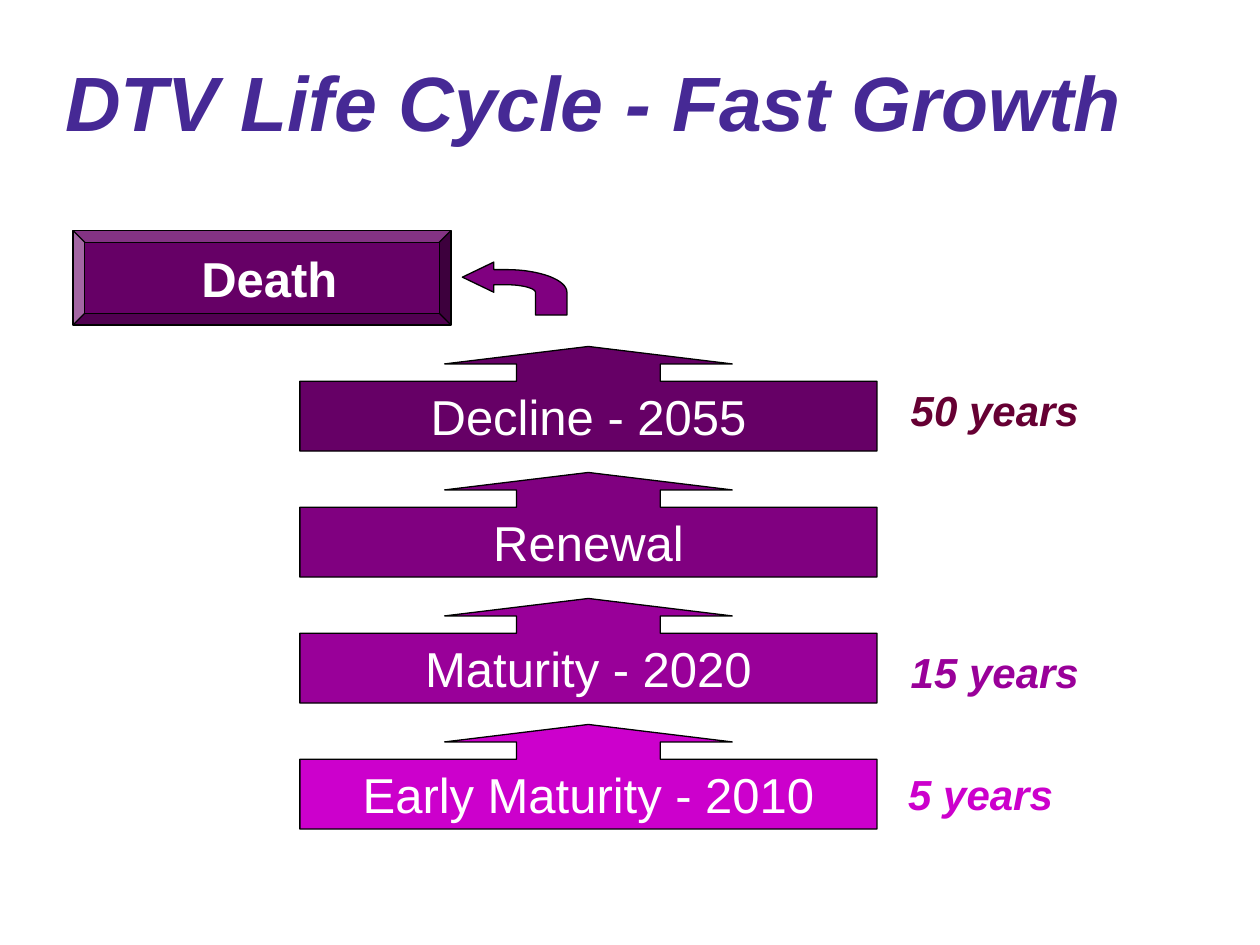
"""Build the DTV life cycle slide: a rising stack of stage callouts that ends in death."""
from typing import NamedTuple

from pptx import Presentation
from pptx.dml.color import RGBColor
from pptx.enum.shapes import MSO_SHAPE as Shape
from pptx.enum.text import MSO_ANCHOR as Anchor, PP_ALIGN as Align
from pptx.util import Inches, Pt

BLACK = RGBColor(0x00, 0x00, 0x00)
WHITE = RGBColor(0xFF, 0xFF, 0xFF)
INDIGO = RGBColor(0x46, 0x29, 0x95)
PINK = RGBColor(0xCC, 0x00, 0xCC)
VIOLET = RGBColor(0x99, 0x00, 0x99)
PURPLE = RGBColor(0x80, 0x00, 0x80)
PLUM = RGBColor(0x66, 0x00, 0x66)
WINE = RGBColor(0x66, 0x00, 0x33)

Point = tuple[float, float]


class Stage(NamedTuple):
    text: str
    fill: RGBColor


class Label(NamedTuple):
    text: str
    left: float
    top: float
    color: RGBColor


STAGES = [
    Stage("Early Maturity - 2010", PINK),
    Stage("Maturity - 2020", VIOLET),
    Stage("Renewal", PURPLE),
    Stage("Decline - 2055", PLUM),
]
LABELS = [
    Label("5 years", 7.11, 6.05, PINK),
    Label("15 years", 7.13, 5.08, VIOLET),
    Label("50 years", 7.13, 3, WINE),
]
BASE, STEP = 5.75, 1


def write(shape, text: str, *, size: float, color: RGBColor, bold: bool = False,
          italic: bool = False, align=Align.LEFT, anchor=Anchor.TOP,
          wrap: bool = True) -> None:
    frame = shape.text_frame
    frame.word_wrap = wrap
    frame.vertical_anchor = anchor
    para = frame.paragraphs[0]
    para.alignment = align
    run = para.add_run()
    run.text = text
    font = run.font
    font.name, font.size = "Arial", Pt(size)
    font.bold, font.italic = bold, italic
    font.color.rgb = color


def add_text(slide, box: tuple, text: str, **style) -> None:
    write(slide.shapes.add_textbox(*map(Inches, box)), text, **style)


def paint(shape, fill: RGBColor) -> None:
    shape.shadow.inherit = False
    shape.fill.solid()
    shape.fill.fore_color.rgb = fill
    shape.line.color.rgb = BLACK
    shape.line.width = Pt(0.75)


def add_stage(slide, stage: Stage, top: float) -> None:
    box = map(Inches, (2.38, top, 4.58, 0.83))
    shape = slide.shapes.add_shape(Shape.UP_ARROW_CALLOUT, *box)
    for i, value in enumerate((1.375, 1.375, 0.167, 0.667)):
        shape.adjustments[i] = value
    paint(shape, stage.fill)
    write(shape, stage.text, size=28, color=WHITE, align=Align.CENTER,
          anchor=Anchor.MIDDLE, wrap=False)


def curve(a: Point, b: Point, c: Point, d: Point, count: int = 16) -> list[Point]:
    points = []
    for i in range(count + 1):
        t = i / count
        u = 1 - t
        parts = (u ** 3, 3 * u * u * t, 3 * u * t * t, t ** 3)
        points.append(tuple(sum(w * p[k] for w, p in zip(parts, (a, b, c, d)))
                            for k in (0, 1)))
    return points


def add_turn(slide) -> None:
    outer = curve((4.5, 2.32), (4.5, 2.22), (4.28, 2.14), (4.02, 2.14))
    head = [(3.92, 2.14), (3.92, 2.08), (3.67, 2.2), (3.92, 2.32), (3.92, 2.26)]
    inner = curve((4.02, 2.26), (4.15, 2.26), (4.25, 2.29), (4.25, 2.32))
    points = [*outer, *head, *inner, (4.25, 2.5)]
    pen = slide.shapes.build_freeform(Inches(4.5), Inches(2.5))
    pen.add_line_segments([(Inches(x), Inches(y)) for x, y in points], close=True)
    paint(pen.convert_to_shape(), PURPLE)


def main() -> None:
    deck = Presentation()
    deck.slide_width, deck.slide_height = Inches(10), Inches(7.5)
    slide = deck.slides.add_slide(deck.slide_layouts[6])
    add_text(slide, (-0.12, 0.17, 9.67, 1.25), "DTV Life Cycle - Fast Growth",
             size=44, color=INDIGO, bold=True, italic=True, align=Align.CENTER,
             anchor=Anchor.MIDDLE)
    for i, stage in enumerate(STAGES):
        add_stage(slide, stage, BASE - i * STEP)
    for label in LABELS:
        add_text(slide, (label.left, label.top, 1.83, 0.5), label.text, size=24,
                 color=label.color, bold=True, italic=True)
    bevel = slide.shapes.add_shape(Shape.BEVEL, *map(Inches, (0.58, 1.83, 3, 0.75)))
    paint(bevel, PLUM)
    add_text(slide, (1.5, 1.92, 2.58, 0.57), "Death", size=28, color=WHITE, bold=True)
    add_turn(slide)
    deck.save("out.pptx")


if __name__ == "__main__":
    main()
